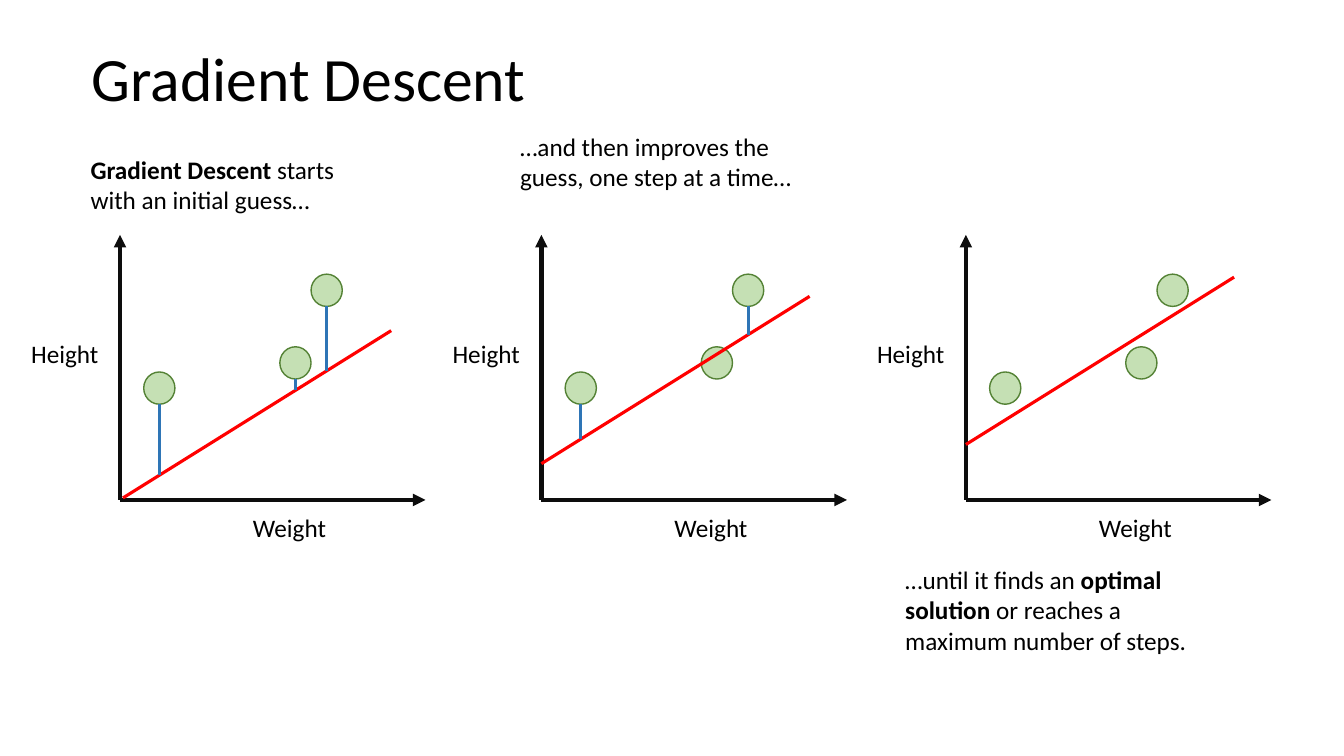
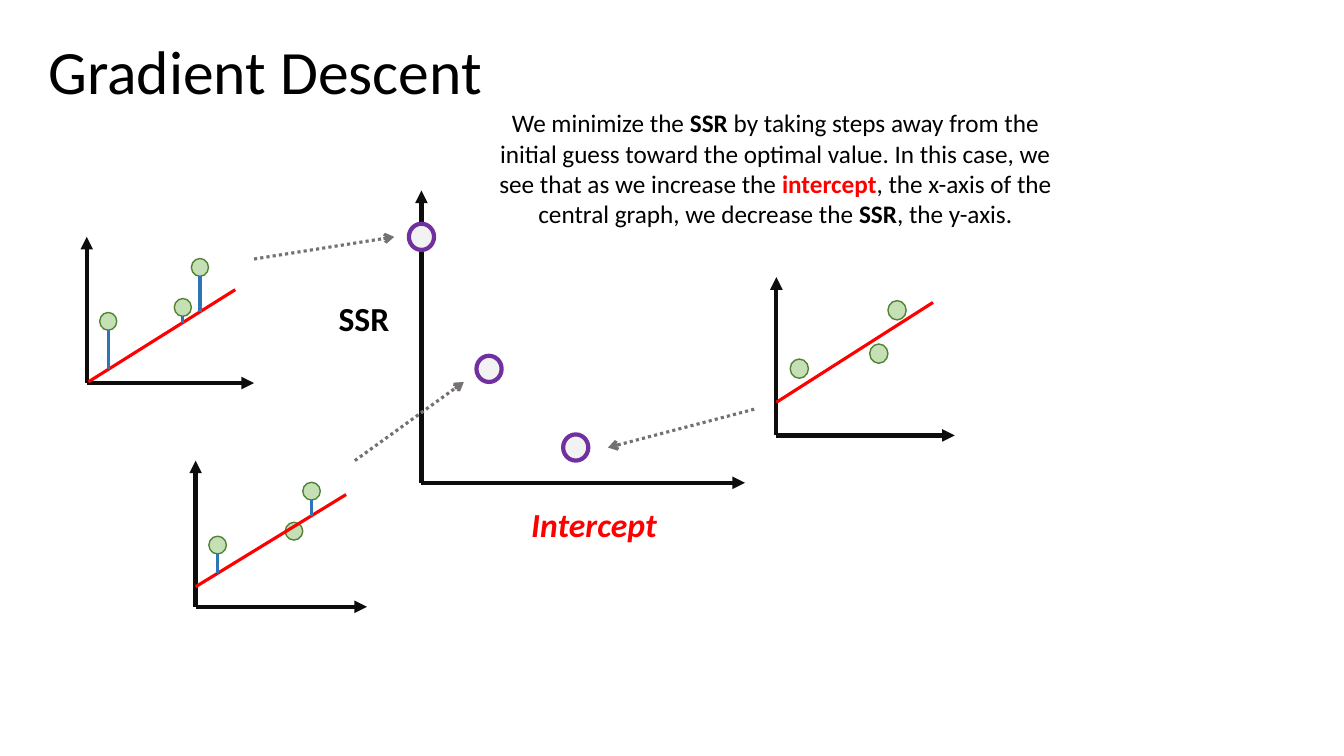
from dataclasses import dataclass
from typing import NamedTuple

from lxml.etree import SubElement
from pptx import Presentation
from pptx.dml.color import RGBColor
from pptx.enum.dml import MSO_LINE
from pptx.enum.shapes import MSO_CONNECTOR, MSO_SHAPE
from pptx.enum.text import MSO_ANCHOR, PP_ALIGN
from pptx.oxml.ns import qn
from pptx.util import Inches, Pt


@dataclass(frozen=True)
class Theme:
    font: str = "Calibri"
    title: int = 44
    label: int = 24
    body: int = 18
    text: str = "000000"
    axis: str = "0D0D0D"
    red: str = "FF0000"
    blue: str = "2E75B6"
    dot: str = "C5E0B4"
    edge: str = "548235"
    ring: str = "F2F2F2"
    purple: str = "7030A0"
    gray: str = "767171"
    thick: float = 3
    mid: float = 2.25
    thin: float = 1


class Box(NamedTuple):
    x: float
    y: float
    w: float
    h: float


class Step(NamedTuple):
    start: tuple
    gaps: tuple


THEME = Theme()
BASE = (3.03, 2.63)
DOTS = [(0.39, 1.11), (1.74, 1.36), (2.05, 2.08)]
DOT = (0.31, 0.32)
RING = (0.25, 0.26)
RUN, RISE = 2.66, 1.66
STEPS = [
    Step((0.03, 0.02), (0, 1, 2)),
    Step((0, 0.36), (0, 2)),
    Step((0, 0.55), ()),
]
BOLD = {"bold": True}


def rgb(code):
    return RGBColor.from_string(code)


def add_text(slide, box, parts, size=THEME.body, align=PP_ALIGN.LEFT):
    frame = slide.shapes.add_textbox(*map(Inches, box)).text_frame
    frame.word_wrap = True
    para = frame.paragraphs[0]
    para.alignment = align
    for words, style in parts:
        run = para.add_run()
        run.text = words
        font = run.font
        font.name, font.size = THEME.font, Pt(size)
        font.bold = style.get("bold", False)
        font.italic = style.get("italic", False)
        font.color.rgb = rgb(style.get("color", THEME.text))
    return frame


def add_title(slide, left, top):
    box = Box(left, top, 6.82, 1.45)
    frame = add_text(slide, box, [("Gradient Descent", {})], THEME.title)
    frame.vertical_anchor = MSO_ANCHOR.MIDDLE
    frame.paragraphs[0].line_spacing = 0.9


def add_line(slide, start, end, color, width, head=None, dash=None):
    ends = map(Inches, (*start, *end))
    wire = slide.shapes.add_connector(MSO_CONNECTOR.STRAIGHT, *ends)
    wire.line.color.rgb = rgb(color)
    wire.line.width = Pt(width)
    if dash:
        wire.line.dash_style = dash
    props = wire._element.spPr
    if head:
        SubElement(props.find(qn("a:ln")), qn("a:tailEnd"), type=head)
    SubElement(props, qn("a:effectLst"))


def add_dot(slide, center, size, fill, edge, width):
    (x, y), (w, h) = center, size
    box = map(Inches, (x - w / 2, y - h / 2, w, h))
    dot = slide.shapes.add_shape(MSO_SHAPE.OVAL, *box)
    dot.shadow.inherit = False
    dot.fill.solid()
    dot.fill.fore_color.rgb = rgb(fill)
    dot.line.color.rgb = rgb(edge)
    dot.line.width = Pt(width)


def add_axes(slide, box):
    base = box.y + box.h
    for end in ((box.x, box.y), (box.x + box.w, base)):
        add_line(slide, (box.x, base), end, THEME.axis, THEME.thick, "triangle")


def add_plot(slide, box, step, named=False):
    across, up = box.w / BASE[0], box.h / BASE[1]
    base = box.y + box.h

    def place(x, y):
        return box.x + x * across, base - y * up

    add_axes(slide, box)
    size = DOT[0] * across, DOT[1] * up
    for dot in DOTS:
        add_dot(slide, place(*dot), size, THEME.dot, THEME.edge, THEME.thin)
    x, y = step.start
    end = place(x + RUN, y + RISE)
    add_line(slide, place(x, y), end, THEME.red, THEME.mid)
    for gap in step.gaps:
        left, high = DOTS[gap]
        fit = y + (left - x) * RISE / RUN
        low = place(left, high - DOT[1] / 2)
        add_line(slide, low, place(left, fit), THEME.blue, THEME.mid)
    if named:
        add_text(slide, Box(box.x - 0.98, base - 1.65, 0.98, 0.37), [("Height", {})])
        add_text(slide, Box(box.x + 1.22, base + 0.07, 0.98, 0.37), [("Weight", {})])


def add_loss(slide, box):
    add_axes(slide, box)
    for x, y in ((0, 0.46), (0.67, 1.77), (1.53, 2.55)):
        spot = box.x + x, box.y + y
        add_dot(slide, spot, RING, THEME.ring, THEME.purple, THEME.thick)
    add_text(slide, Box(box.x - 0.92, box.y + 1.02, 1.04, 0.5), [("SSR", BOLD)], THEME.label)
    style = {"bold": True, "italic": True, "color": THEME.red}
    spot = Box(box.x + 0.99, box.y + box.h + 0.16, 1.5, 0.5)
    add_text(slide, spot, [("Intercept", style)], THEME.label)


def add_steps(slide):
    add_title(slide, 0.81, 0.08)
    for left, step in zip((1.19, 5.37, 9.58), STEPS):
        add_plot(slide, Box(left, 2.33, *BASE), step, named=True)
    notes = [
        (Box(0.8, 1.48, 2.66, 0.71), [
            ("Gradient Descent ", BOLD), ("starts with an initial guess…", {})]),
        (Box(5.06, 1.25, 2.89, 1.01), [
            ("…and then improves the guess, one step at a time…", {})]),
        (Box(8.88, 5.55, 3.09, 1.01), [
            ("…until it finds an ", {}), ("optimal solution ", BOLD),
            ("or reaches a maximum number of steps.", {})]),
    ]
    for box, parts in notes:
        add_text(slide, box, parts)


def add_descent(slide):
    add_title(slide, 0.38, 0.01)
    add_loss(slide, Box(4.18, 1.89, 3.21, 2.9))
    boxes = [
        Box(0.86, 2.35, 1.66, 1.45),
        Box(1.94, 4.57, 1.7, 1.45),
        Box(7.7, 2.75, 1.77, 1.57),
    ]
    for box, step in zip(boxes, STEPS):
        add_plot(slide, box, step)
    links = [
        ((2.52, 2.57), (3.91, 2.35)),
        ((3.52, 4.57), (4.6, 3.79)),
        ((7.48, 4.06), (6.03, 4.44)),
    ]
    for start, end in links:
        add_line(slide, start, end, THEME.gray, THEME.mid, "arrow", MSO_LINE.ROUND_DOT)
    parts = [
        ("We minimize the ", {}),
        ("SSR", BOLD),
        (" by taking steps away from the initial guess toward the optimal value. "
         "In this case, we see that as we increase the ", {}),
        ("intercept", {"bold": True, "color": THEME.red}),
        (", the x-axis of the central graph, we decrease the ", {}),
        ("SSR", BOLD),
        (", the y-axis.", {}),
    ]
    add_text(slide, Box(4.85, 1.02, 5.68, 1.31), parts, align=PP_ALIGN.CENTER)


def main():
    deck = Presentation()
    deck.slide_width, deck.slide_height = Inches(13.33), Inches(7.5)
    for build in (add_steps, add_descent):
        build(deck.slides.add_slide(deck.slide_layouts[6]))
    deck.save("out.pptx")


if __name__ == "__main__":
    main()
